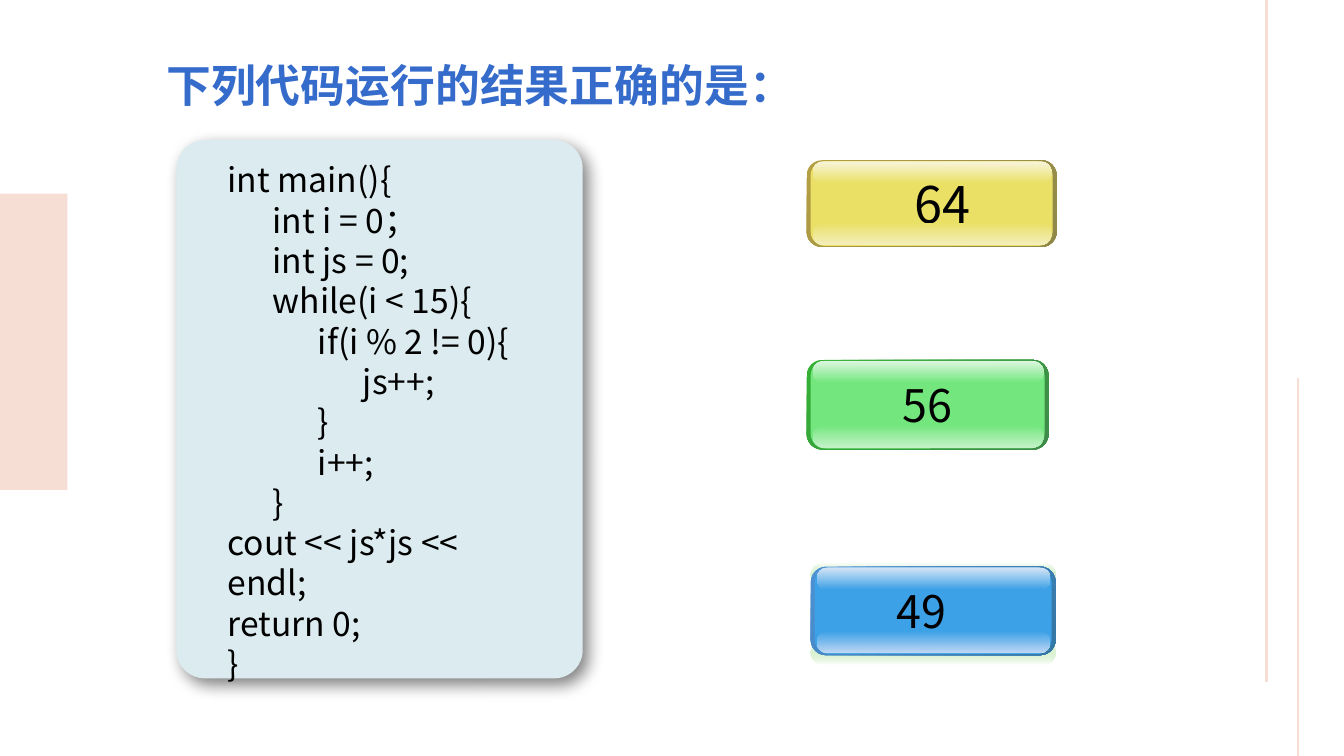
from lxml import etree
from pptx import Presentation
from pptx.dml.color import RGBColor
from pptx.enum.shapes import MSO_CONNECTOR, MSO_SHAPE
from pptx.enum.text import MSO_ANCHOR, MSO_AUTO_SIZE, PP_ALIGN
from pptx.oxml.ns import qn
from pptx.util import Inches, Pt

RECTANGLE, ROUNDED = MSO_SHAPE.RECTANGLE, MSO_SHAPE.ROUNDED_RECTANGLE
STRAIGHT = MSO_CONNECTOR.STRAIGHT
TOP, MIDDLE = MSO_ANCHOR.TOP, MSO_ANCHOR.MIDDLE
LEFT, NO_AUTOFIT = PP_ALIGN.LEFT, MSO_AUTO_SIZE.NONE

FONT = "Noto Sans CJK SC"
LINE_SPACING = 1.2  # line pitch as a multiple of the text size
DOWN, DIAGONAL = 270, 315  # gradient directions

BLACK = RGBColor(0x00, 0x00, 0x00)
WHITE = RGBColor(0xFF, 0xFF, 0xFF)
PINK = RGBColor(0xF6, 0xDE, 0xD4)
TITLE_BLUE = RGBColor(0x35, 0x6B, 0xCA)
PANEL = RGBColor(0xDC, 0xEB, 0xEF)
GLOW = RGBColor(0x6E, 0xCC, 0x4C)

# Rim start, rim end, face, bottom shine, top shine
YELLOW_SET = [RGBColor.from_string(c) for c in ("B59F43", "8F8849", "E9E065", "F3EEBB", "F8F5DB")]
GREEN_SET = [RGBColor.from_string(c) for c in ("34B034", "3F8B4A", "73E77E", "C3F2C7", "DDF7DF")]
BLUE_SET = [RGBColor.from_string(c) for c in ("4E91D4", "3477A4", "3CA1E6", "BDD6F3", "D7E5F7")]

TITLE = "下列代码运行的结果正确的是："
CODE = """int main(){
      int i = 0；
      int js = 0;
      while(i < 15){
            if(i % 2 != 0){
                  js++;
            }
            i++;
      }
cout << js*js << endl;
return 0;
}"""

# Box, colours, label, text size, label indent, glow
ANSWERS = [
    ((8, 1.59, 2.48, 0.86), YELLOW_SET, "64", 36, 0.99, False),
    ((8, 3.57, 2.4, 0.89), GREEN_SET, "56", 32, 0.87, False),
    ((8.04, 5.62, 2.43, 0.88), BLUE_SET, "49", 32, 0.77, True),
]


def add_block(shapes, kind, box, fill=None, adjustment=None):
    shape = shapes.add_shape(kind, *map(Inches, box))
    shape.shadow.inherit = False
    shape.line.fill.background()
    if fill is not None:
        shape.fill.solid()
        shape.fill.fore_color.rgb = fill
    if adjustment is not None:
        shape.adjustments[0] = adjustment
    return shape


def set_gradient(shape, colors, angle, clear=None):
    """Blend two colours; the stop with index clear is fully transparent."""
    shape.fill.gradient()
    shape.fill.gradient_angle = angle
    for stop, color in zip(shape.fill.gradient_stops, colors):
        stop.color.rgb = color
    if clear is not None:
        color_element = list(shape._element.spPr.iter(qn("a:srgbClr")))[clear]
        etree.SubElement(color_element, qn("a:alpha"), val="0")


def add_text(paragraph, text, size, color, bold=False, exact=False):
    paragraph.alignment = LEFT
    if exact:
        paragraph.line_spacing = Pt(size * LINE_SPACING)
    run = paragraph.add_run()
    run.text = text
    run.font.name = FONT
    run.font.size = Pt(size)
    run.font.bold = bold
    run.font.color.rgb = color
    properties = run._r.get_or_add_rPr()
    etree.SubElement(properties, qn("a:ea"), typeface=FONT)


def add_decoration(slide, width, height):
    # Side block and two vertical rules
    add_block(slide.shapes, RECTANGLE, (0, 1.92, 0.67, 2.94), PINK)
    for x, top, bottom, weight in ((width - 0.77, 0, 6.77, 2.25),
                                   (width - 0.46, height / 2, height, 1.5)):
        rule = slide.shapes.add_connector(
            STRAIGHT, Inches(x), Inches(top), Inches(x), Inches(bottom))
        rule.line.color.rgb = PINK
        rule.line.width = Pt(weight)
        etree.SubElement(rule._element.spPr, qn("a:effectLst"))


def add_title(slide, box):
    title = slide.shapes.title
    title.left, title.top, title.width, title.height = map(Inches, box)
    frame = title.text_frame
    frame.word_wrap = True
    frame.auto_size = NO_AUTOFIT
    frame.vertical_anchor = TOP
    add_text(frame.paragraphs[0], TITLE, 32, TITLE_BLUE, bold=True, exact=True)


def add_code_panel(slide, box):
    left, top, width, height = box
    # Card with a soft shadow
    card = add_block(slide.shapes, ROUNDED, box, PANEL, 0.07)
    effects = card._element.spPr.find(qn("a:effectLst"))
    shadow = etree.SubElement(
        effects, qn("a:outerShdw"), blurRad=str(Pt(12)), dist=str(Pt(6)),
        dir=str(45 * 60000), algn="tl", rotWithShape="0")
    color = etree.SubElement(shadow, qn("a:srgbClr"), val=str(BLACK))
    etree.SubElement(color, qn("a:alpha"), val="50000")

    # Code listing
    listing = slide.shapes.add_textbox(
        Inches(left + 0.41), Inches(top + 0.14), Inches(3.07), Inches(height + 0.41))
    frame = listing.text_frame
    frame.word_wrap = True
    for index, line in enumerate(CODE.splitlines()):
        paragraph = frame.paragraphs[0] if index == 0 else frame.add_paragraph()
        add_text(paragraph, line, 24, BLACK, exact=True)


def add_answer(slide, box, colors, label, size, indent, glow):
    left, top, width, height = box
    rim_start, rim_end, face_color, bottom_shine, top_shine = colors
    shapes = slide.shapes.add_group_shape().shapes

    # Faint glow above and below
    if glow:
        for y, blend, clear in ((top + 0.73, (GLOW, WHITE), 0),
                                (top - 0.04, (WHITE, GLOW), 1)):
            halo = add_block(shapes, ROUNDED, (left, y, width, 0.24), adjustment=0.5)
            set_gradient(halo, blend, DOWN, clear)

    # Rim and face
    rim = add_block(shapes, ROUNDED, box, adjustment=0.175)
    set_gradient(rim, (rim_start, rim_end), DIAGONAL)
    face_box = (left + 0.04, top + 0.01, width - 0.08, height - 0.02)
    face = add_block(shapes, ROUNDED, face_box, face_color, 0.167)
    frame = face.text_frame
    frame.word_wrap = True
    frame.vertical_anchor = MIDDLE
    frame.margin_left = Inches(indent)
    add_text(frame.paragraphs[0], label, size, BLACK)

    # Shine along the bottom and top edges
    for y, blend in ((top + height - 0.24, (face_color, bottom_shine)),
                     (top + 0.01, (top_shine, face_color))):
        shine = add_block(shapes, ROUNDED, (left + 0.06, y, width - 0.11, 0.22), adjustment=0.5)
        set_gradient(shine, blend, DOWN)


def main():
    width, height = 13.33, 7.5
    presentation = Presentation()
    presentation.slide_width = Inches(width)
    presentation.slide_height = Inches(height)
    slide = presentation.slides.add_slide(presentation.slide_layouts[5])
    add_decoration(slide, width, height)
    add_title(slide, (1.55, 0.52, 8.58, 0.64))
    add_code_panel(slide, (1.75, 1.39, 4.03, 5.34))
    for answer in ANSWERS:
        add_answer(slide, *answer)
    presentation.save("out.pptx")


if __name__ == "__main__":
    main()
